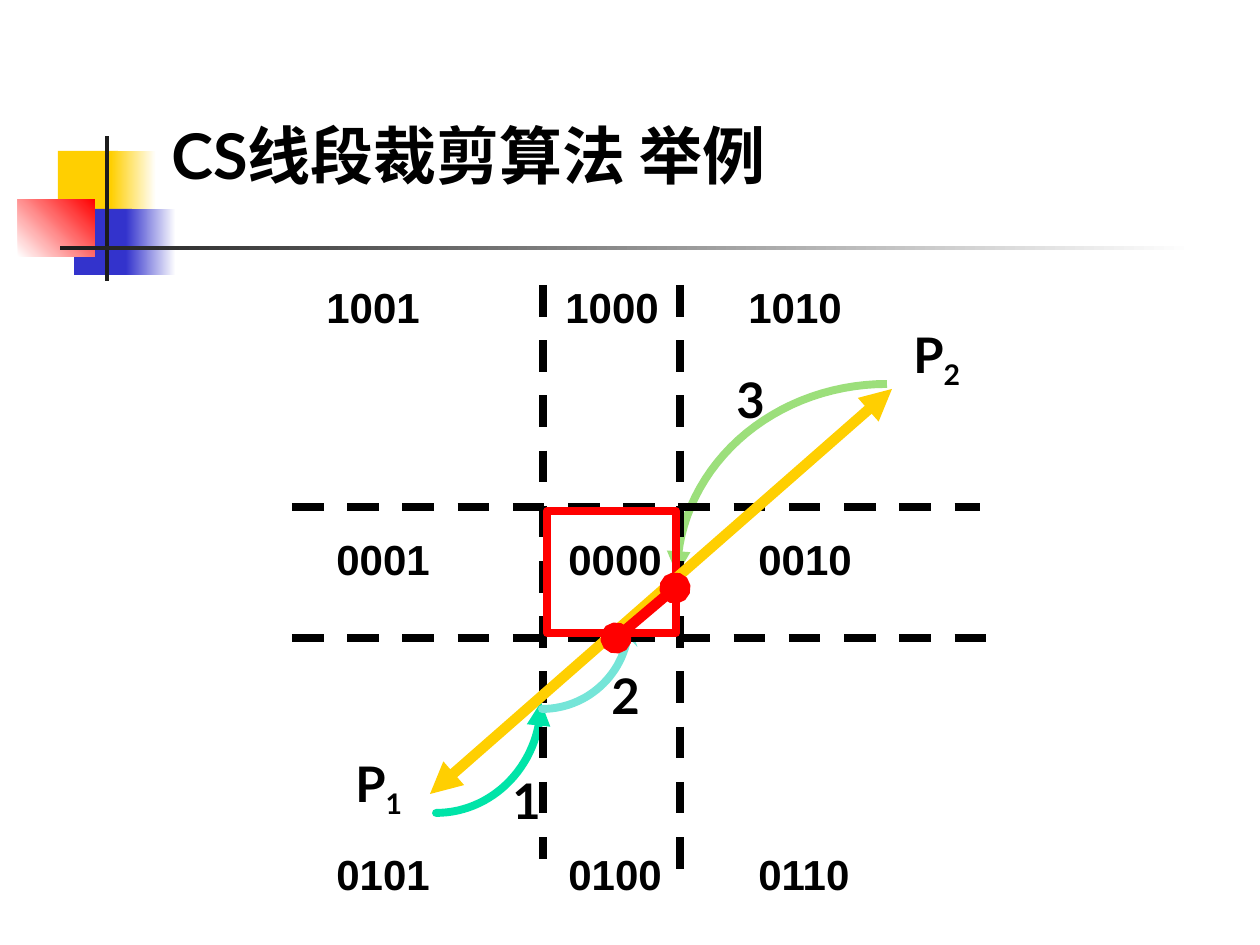
from math import cos, pi, sin

from lxml.etree import SubElement
from pptx import Presentation
from pptx.dml.color import RGBColor
from pptx.enum.dml import MSO_LINE
from pptx.enum.shapes import MSO_CONNECTOR, MSO_SHAPE
from pptx.enum.text import MSO_ANCHOR, MSO_AUTO_SIZE
from pptx.oxml.ns import qn
from pptx.util import Emu, Pt

PX = 914400 / 126
BLACK, WHITE, RED, YELLOW, BLUE, GRAY = "000000", "FFFFFF", "FF0000", "FFCF01", "3333CC", "1C1C1C"

TITLE = ("CS线段裁剪算法 举例", (159, 106, 1101, 92))
# box, gradient colours (one colour is solid), gradient angle
DECORATION = [
    ((58, 151, 60, 66), [YELLOW], 0),
    ((111, 151, 45, 66), [YELLOW, WHITE], 0),
    ((74, 209, 58, 66), [BLUE], 0),
    ((126, 209, 50, 66), [BLUE, WHITE], 0),
    ((18, 199, 77, 58), [WHITE, RED], 45),
    ((105, 136, 4, 145), [GRAY], 0),
    ((60, 246, 1134, 4), [GRAY, WHITE], 0),
]
# centre, radii, start angle, colour, arrowhead, cap, label, label position
ARCS = [
    ((436, 702), (105, 111), 0, "00E4A8", "triangle", "rnd", "1", (500, 764)),
    ((887, 575), (210, 191), 180, "9CDF7B", "triangle", "flat", "3", (724, 363)),
    ((542, 622), (87, 87), 0, "75E5D8", "stealth", "rnd", "2", (599, 659)),
]
GRID_LINES = [
    ((543, 285), (543, 859)),
    ((680, 285), (680, 873)),
    ((292, 507), (980, 507)),
    ((292, 638), (993, 638)),
]
WINDOW = (547, 511, 129, 122)
SEGMENT = ((892, 389), (430, 794))
CLIPPED_SEGMENT = ((675, 588), (616, 638))
ENDPOINTS = [("P", "1", (343, 747)), ("P", "2", (901, 318))]
# top, column lefts, region codes
REGION_ROWS = [
    (275, (314, 553, 736), ("1001", "1000", "1010")),
    (527, (324, 556, 746), ("0001", "0000", "0010")),
    (842, (324, 556, 746), ("0101", "0100", "0110")),
]


def px(*values):
    return [Emu(round(value * PX)) for value in values]


def rgb(value):
    return RGBColor.from_string(value)


def style_line(shape, color, width, dash=None, head=None, tail=None, cap=None):
    line = shape.line
    line.color.rgb = rgb(color)
    line.width = Pt(width)
    if dash:
        line.dash_style = dash
    properties = shape._element.spPr
    outline = properties.find(qn("a:ln"))
    if cap:
        outline.set("cap", cap)
    for tag, kind in (("a:headEnd", head), ("a:tailEnd", tail)):
        if kind:
            SubElement(outline, qn(tag), type=kind)
    if properties.find(qn("a:effectLst")) is None:
        SubElement(properties, qn("a:effectLst"))


def add_rectangle(slide, box, colors=(), angle=0):
    shape = slide.shapes.add_shape(MSO_SHAPE.RECTANGLE, *px(*box))
    shape.shadow.inherit = False
    shape.line.fill.background()
    if len(colors) == 2:
        shape.fill.gradient()
        shape.fill.gradient_angle = angle
        for stop, color in zip(shape.fill.gradient_stops, colors):
            stop.color.rgb = rgb(color)
    elif colors:
        shape.fill.solid()
        shape.fill.fore_color.rgb = rgb(colors[0])
    else:
        shape.fill.background()
    return shape


def add_line(slide, ends, color, width, **options):
    start, end = ends
    line = slide.shapes.add_connector(MSO_CONNECTOR.STRAIGHT, *px(*start, *end))
    style_line(line, color, width, **options)


def add_quarter_arc(slide, center, radii, start, color, head, cap, steps=30):
    """Draw a clockwise quarter ellipse with its arrowhead at the start angle."""
    angles = [(start + 90 * step / steps) * pi / 180 for step in range(steps + 1)]
    points = [
        px(center[0] + radii[0] * cos(angle), center[1] + radii[1] * sin(angle))
        for angle in angles
    ]
    builder = slide.shapes.build_freeform(*points[0])
    builder.add_line_segments(points[1:], close=False)
    arc = builder.convert_to_shape()
    arc.shadow.inherit = False
    arc.fill.background()
    style_line(arc, color, 4.5, head=head, cap=cap)


def add_text(slide, text, box, size=28, font="Lato", wrap=False, subscript="",
             anchor=MSO_ANCHOR.TOP, auto_size=MSO_AUTO_SIZE.SHAPE_TO_FIT_TEXT):
    frame = slide.shapes.add_textbox(*px(*box)).text_frame
    for name, value in {"word_wrap": wrap, "vertical_anchor": anchor, "auto_size": auto_size}.items():
        setattr(frame, name, value)
    paragraph = frame.paragraphs[0]
    for part in filter(None, (text, subscript)):
        run = paragraph.add_run()
        run.text = part
        for name, value in {"size": Pt(size), "name": font, "bold": True}.items():
            setattr(run.font, name, value)
        run.font.color.rgb = rgb(BLACK)
    if subscript:
        run._r.get_or_add_rPr().set("baseline", "-25000")


def main():
    presentation = Presentation()
    presentation.slide_width, presentation.slide_height = px(1260, 945)
    slide = presentation.slides.add_slide(presentation.slide_layouts[6])

    for box, colors, angle in DECORATION:
        add_rectangle(slide, box, colors, angle)
    add_text(slide, *TITLE, size=36, wrap=True, anchor=MSO_ANCHOR.BOTTOM,
             auto_size=MSO_AUTO_SIZE.NONE)

    for *arc, label, position in ARCS:
        add_quarter_arc(slide, *arc)
        add_text(slide, label, (*position, 54, 72))
    for ends in GRID_LINES:
        add_line(slide, ends, BLACK, 4.5, dash=MSO_LINE.DASH)
    style_line(add_rectangle(slide, WINDOW), RED, 4.5)
    add_line(slide, SEGMENT, YELLOW, 6, head="triangle", tail="triangle")

    for name, index, position in ENDPOINTS:
        add_text(slide, name, (*position, 72, 79), subscript=index)
    for top, lefts, codes in REGION_ROWS:
        for left, code in zip(lefts, codes):
            add_text(slide, code, (left, top, 123, 63), size=24, font="Arial", wrap=True)
    add_line(slide, CLIPPED_SEGMENT, RED, 6, head="oval", tail="oval")

    presentation.save("out.pptx")


if __name__ == "__main__":
    main()
